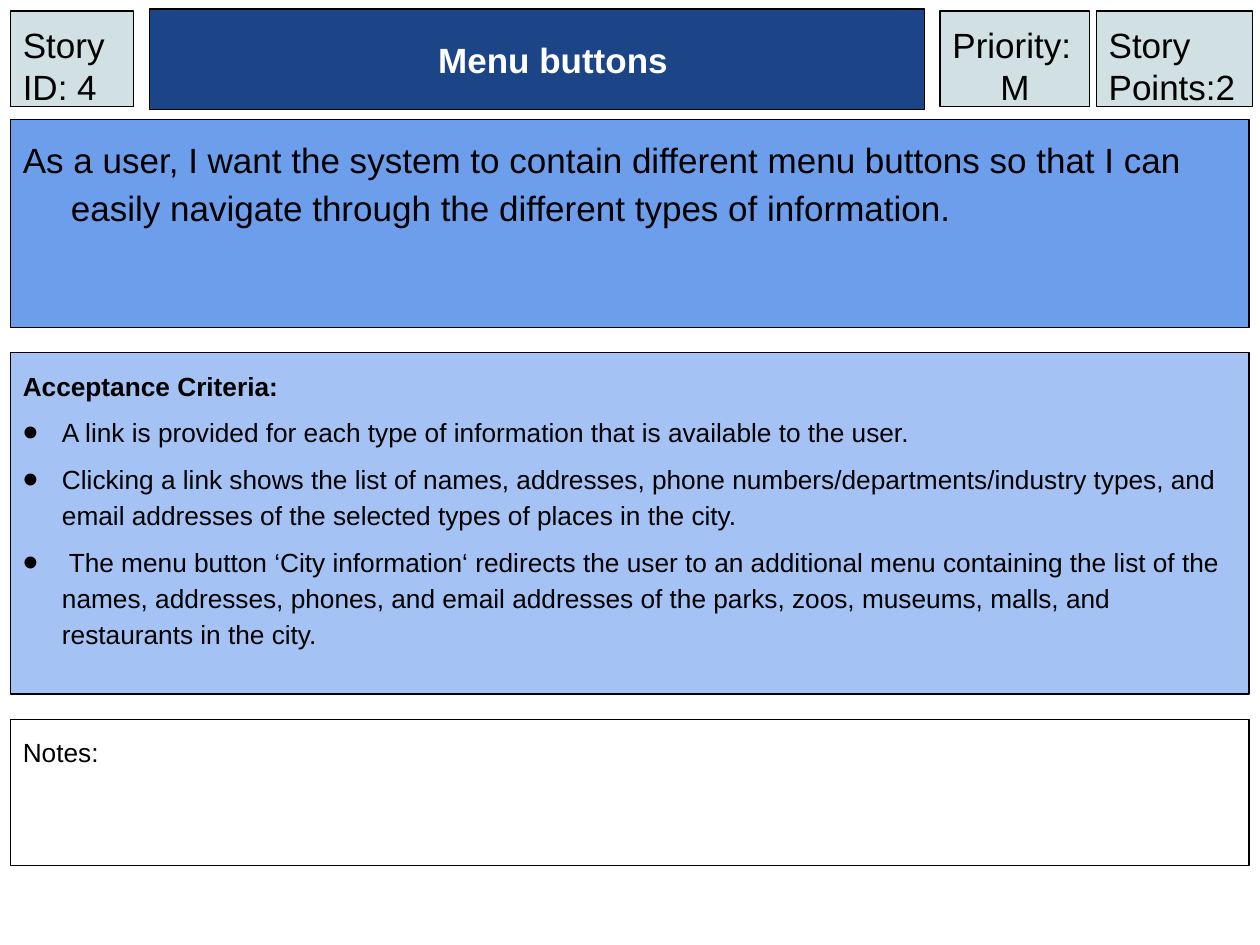
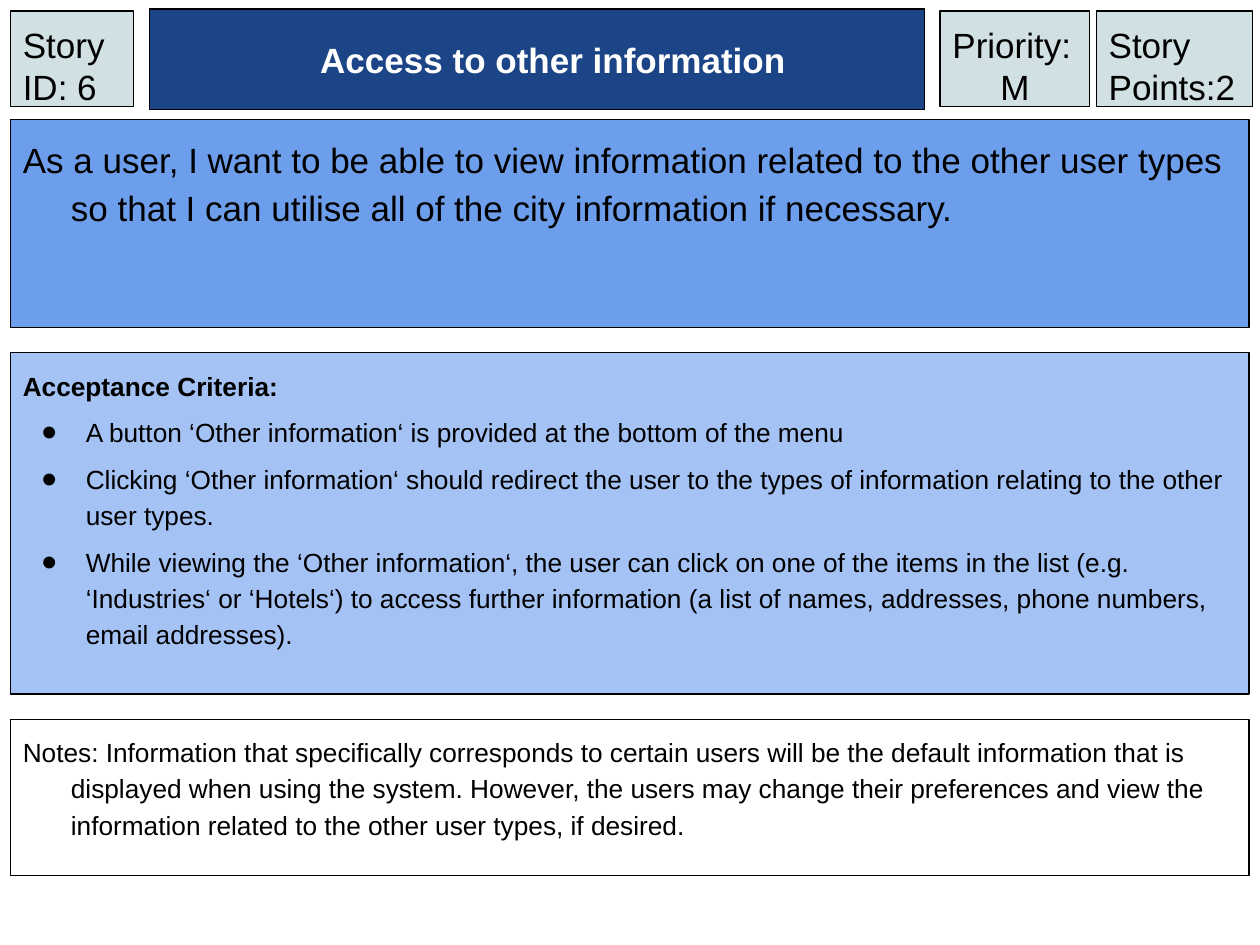
from lxml import etree
from pptx import Presentation
from pptx.dml.color import RGBColor
from pptx.enum import shapes, text
from pptx.oxml import ns
from pptx.util import Cm, Pt

# Content: one dict per story card
STORIES = [
    dict(
        id="4", title="Menu buttons", priority="M", points="2",
        story="As a user, I want the system to contain different menu buttons so that "
              "I can easily navigate through the different types of information.",
        criteria=[
            "A link is provided for each type of information that is available to the user.",
            "Clicking a link shows the list of names, addresses, phone numbers/departments/"
            "industry types, and email addresses of the selected types of places in the city.",
            " The menu button ‘City information‘ redirects the user to an additional menu "
            "containing the list of the names, addresses, phones, and email addresses of the "
            "parks, zoos, museums, malls, and restaurants in the city.",
        ],
        bullet_indent=(0.79, -0.79),
        notes="Notes:", notes_height=2.95,
    ),
    dict(
        id="6", title="Access to other information", priority="M", points="2",
        story="As a user, I want to be able to view information related to the other user "
              "types so that I can utilise all of the city information if necessary.",
        criteria=[
            "A button ‘Other information‘ is provided at the bottom of the menu",
            "Clicking ‘Other information‘ should redirect the user to the types of "
            "information relating to the other user types.",
            "While viewing the ‘Other information‘, the user can click on one of the items in "
            "the list (e.g. ‘Industries‘ or ‘Hotels‘) to access further information (a list of "
            "names, addresses, phone numbers, email addresses).",
        ],
        bullet_indent=(1.27, -0.89),
        notes="Notes: Information that specifically corresponds to certain users will be the "
              "default information that is displayed when using the system. However, the users "
              "may change their preferences and view the information related to the other user "
              "types, if desired.",
        notes_height=3.15,
    ),
]

# Shared style; lengths in centimetres
FONT = "Arial"
BLACK, WHITE = "000000", "FFFFFF"
NAVY, BLUE, LIGHT_BLUE, GREY = "1C4587", "6D9EEB", "A4C2F4", "D0E0E3"
LARGE, SMALL = 20, 15
INSET = 0.25
HANGING = (0.97, -0.97)
BODY_LINES = 1.15

# Shared layout
TAG_TOP, TAG_HEIGHT = 0.22, 1.93
TAGS = {"id": (0.21, 2.49), "priority": (18.95, 3.02), "points": (22.1, 3.15)}
TITLE_BOX = (3.02, 0.18, 15.62, 2.03)
PANEL_LEFT, PANEL_WIDTH = 0.21, 24.97
PANEL_TOP, PANEL_GAP = 2.41, 0.51
STORY_HEIGHT, CRITERIA_HEIGHT = 4.19, 6.88


def rgb(value):
    return RGBColor.from_string(value)


def add_box(slide, box, fill, anchor=text.MSO_ANCHOR.TOP):
    """Outlined rectangle; returns its text frame."""
    rect = slide.shapes.add_shape(shapes.MSO_SHAPE.RECTANGLE, *map(Cm, box))
    rect.shadow.inherit = False
    rect.fill.solid()
    rect.fill.fore_color.rgb = rgb(fill)
    rect.line.color.rgb = rgb(BLACK)
    rect.line.width = Pt(0.75)
    frame = rect.text_frame
    frame.word_wrap = True
    frame.vertical_anchor = anchor
    frame.margin_left = frame.margin_right = Cm(INSET)
    frame.margin_top = frame.margin_bottom = Cm(INSET)
    return frame


def add_bullet(paragraph):
    props = paragraph._p.get_or_add_pPr()
    color = etree.SubElement(props, ns.qn("a:buClr"))
    etree.SubElement(color, ns.qn("a:srgbClr"), val=BLACK)
    etree.SubElement(props, ns.qn("a:buSzPct"), val="167000")
    etree.SubElement(props, ns.qn("a:buFont"), typeface=FONT)
    etree.SubElement(props, ns.qn("a:buChar"), char="•")


def write(frame, words, size, color=BLACK, bold=False, align=text.PP_ALIGN.LEFT,
          indent=(0, 0), lines=None, before=0, bullet=False):
    """Fill the first paragraph, or add one after it."""
    first = frame.paragraphs[0]
    paragraph = frame.add_paragraph() if first.runs else first
    paragraph.alignment = align
    if lines:
        paragraph.line_spacing = lines
    if before:
        paragraph.space_before = Pt(before)
    props = paragraph._p.get_or_add_pPr()
    for name, length in zip(("marL", "indent"), indent):
        props.set(name, str(Cm(length)))
    if bullet:
        add_bullet(paragraph)
    run = paragraph.add_run()
    run.text = words
    run.font.name = FONT
    run.font.size = Pt(size)
    run.font.bold = bold
    run.font.color.rgb = rgb(color)


def add_panels(slide, story):
    """Story, criteria and notes, stacked with equal gaps."""
    body = dict(lines=BODY_LINES, indent=HANGING)
    panels = [
        (STORY_HEIGHT, BLUE, story["story"], LARGE, False, []),
        (CRITERIA_HEIGHT, LIGHT_BLUE, "Acceptance Criteria:", SMALL, True, story["criteria"]),
        (story["notes_height"], WHITE, story["notes"], SMALL, False, []),
    ]
    top = PANEL_TOP
    for height, fill, lead, size, bold, items in panels:
        frame = add_box(slide, (PANEL_LEFT, top, PANEL_WIDTH, height), fill)
        write(frame, lead, size, bold=bold, **body)
        for item in items:
            write(frame, item, size, lines=BODY_LINES, before=6,
                  indent=story["bullet_indent"], bullet=True)
        top += height + PANEL_GAP


def add_header(slide, story):
    """Title band and the three tags beside it."""
    title = add_box(slide, TITLE_BOX, NAVY, text.MSO_ANCHOR.MIDDLE)
    write(title, story["title"], LARGE, WHITE, True, text.PP_ALIGN.CENTER, (0, 0.64))
    tag_lines = {
        "id": ["Story ID: " + story["id"]],
        "priority": ["Priority:", story["priority"]],
        "points": ["Story Points:" + story["points"]],
    }
    for tag, (left, width) in TAGS.items():
        frame = add_box(slide, (left, TAG_TOP, width, TAG_HEIGHT), GREY)
        label, *values = tag_lines[tag]
        write(frame, label, LARGE)
        for value in values:
            write(frame, value, LARGE, align=text.PP_ALIGN.CENTER)


def main():
    deck = Presentation()
    deck.slide_width, deck.slide_height = Cm(25.4), Cm(19.05)
    for story in STORIES:
        slide = deck.slides.add_slide(deck.slide_layouts[6])
        add_panels(slide, story)
        add_header(slide, story)
    deck.save("out.pptx")


if __name__ == "__main__":
    main()
